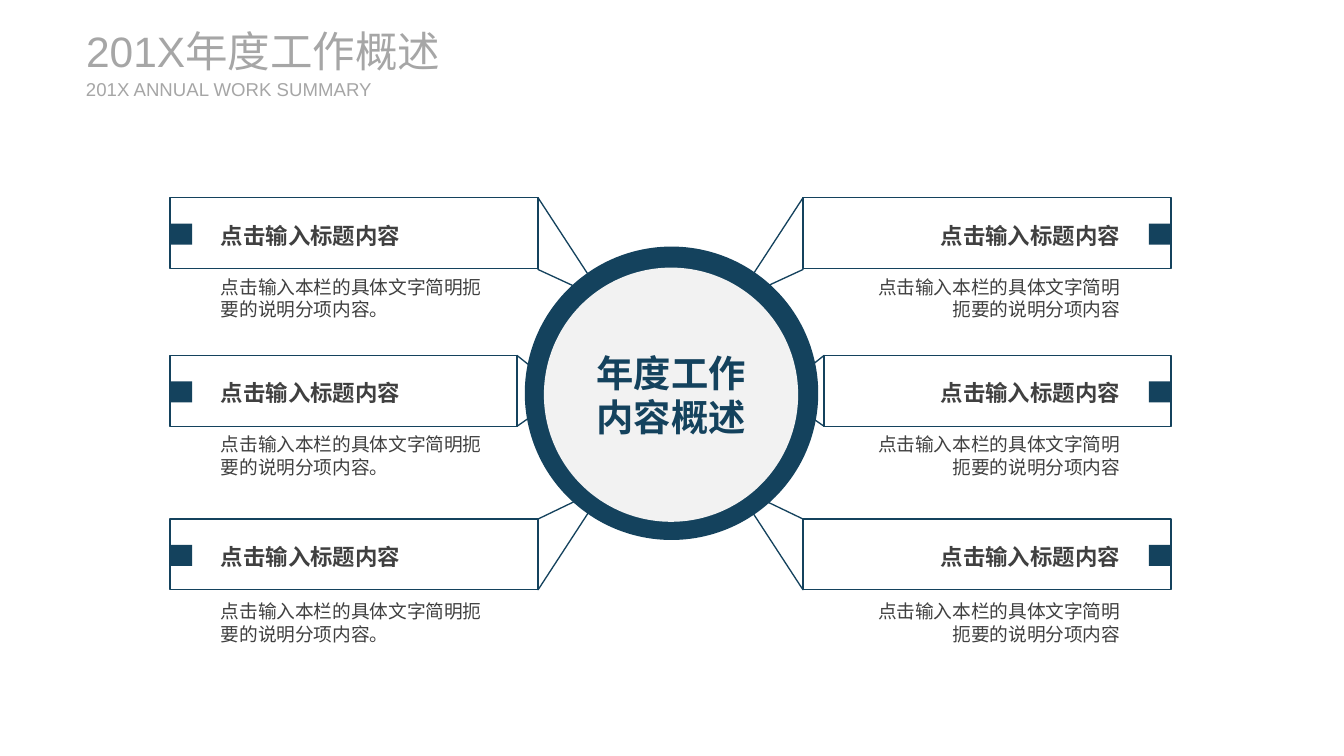
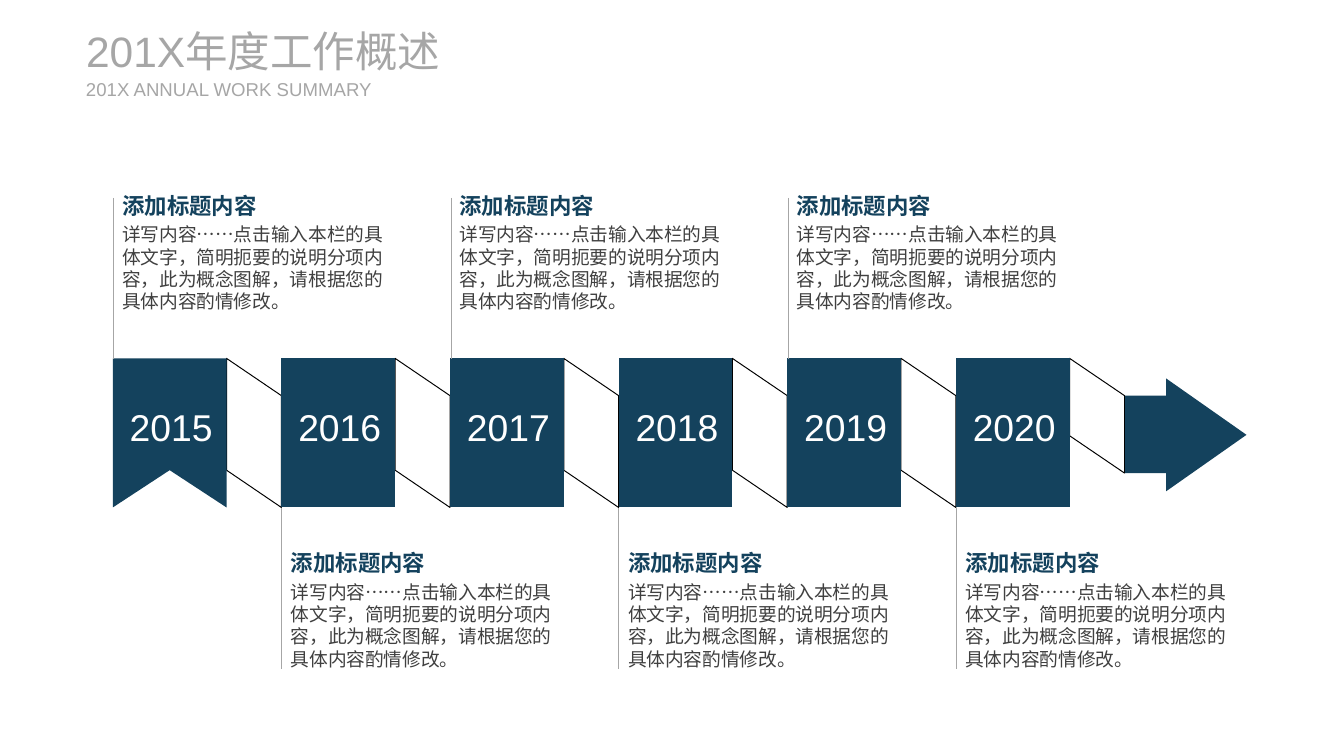
from lxml.etree import SubElement
from pptx import Presentation
from pptx.dml.color import RGBColor
from pptx.enum.shapes import MSO_CONNECTOR, MSO_SHAPE
from pptx.enum.text import MSO_ANCHOR, MSO_AUTO_SIZE, PP_ALIGN
from pptx.oxml.ns import qn
from pptx.util import Inches, Pt

NAVY, DARK, GREY, PALE, WHITE, BLACK = "14425D", "404040", "A6A6A6", "F2F2F2", "FFFFFF", "000000"
FORMATS = {
    "title": ({"size": Pt(32), "bold": False}, GREY),
    "subtitle": ({"size": Pt(14), "bold": False}, GREY),
    "label": ({"size": Pt(16.9), "bold": True}, DARK),
    "heading": ({"size": Pt(16.9), "bold": True}, NAVY),
    "body": ({"size": Pt(14.1), "bold": False}, DARK),
    "hub": ({"size": Pt(28.1), "bold": True}, NAVY),
    "year": ({"size": Pt(28.1), "bold": False}, WHITE),
}


def paint(sp, fill=None, line=None, width=1):
    sp.shadow.inherit = False
    if fill:
        sp.fill.solid()
        sp.fill.fore_color.rgb = RGBColor.from_string(fill)
    else:
        sp.fill.background()
    if line:
        sp.line.color.rgb = RGBColor.from_string(line)
        sp.line.width = Pt(width)
    else:
        sp.line.fill.background()


def write(sp, paragraphs, align=PP_ALIGN.LEFT, anchor=MSO_ANCHOR.TOP, side=0.1, edge=0.05):
    tf = sp.text_frame
    frame = {"word_wrap": True, "vertical_anchor": anchor,
             "margin_left": Inches(side), "margin_right": Inches(side),
             "margin_top": Inches(edge), "margin_bottom": Inches(edge)}
    for name, value in frame.items():
        setattr(tf, name, value)
    for i, (text, kind) in enumerate(paragraphs):
        p = tf.add_paragraph() if i else tf.paragraphs[0]
        p.alignment = align
        if i and kind == "body":
            p.space_before = Pt(3)
        r = p.add_run()
        r.text = text
        values, color = FORMATS[kind]
        r.font.name = "Arial"
        for name, value in values.items():
            setattr(r.font, name, value)
        r.font.color.rgb = RGBColor.from_string(color)


prs = Presentation()
prs.slide_width, prs.slide_height = Inches(14.06), Inches(7.91)
headers = [
    ("201X年度工作概述", "title", 0.26, 4.32, 0.54),
    ("201X ANNUAL WORK SUMMARY", "subtitle", 0.81, 3.07, 0.24),
]
slides = []
for _ in range(2):
    s = prs.slides.add_slide(prs.slide_layouts[6])
    for text, kind, top, width, height in headers:
        sp = s.shapes.add_textbox(Inches(0.9), Inches(top), Inches(width), Inches(height))
        write(sp, [(text, kind)], anchor=MSO_ANCHOR.MIDDLE, side=0, edge=0)
        sp.text_frame.auto_size = MSO_AUTO_SIZE.SHAPE_TO_FIT_TEXT
    slides.append(s)
overview, timeline = slides

s = overview
mirror = 14.03
panel_left, panel_height = 1.78, 0.74
rows = [
    (2.07, 3.02, [(5.63, 2.07), (6.23, 2.99), (6.15, 3.06), (5.63, 2.82)]),
    (3.72, 4.67, [(5.41, 3.72), (5.81, 4.04), (5.81, 4.18), (5.41, 4.46)]),
    (5.43, 6.42, [(5.63, 6.17), (6.23, 5.25), (6.15, 5.18), (5.63, 5.43)]),
]
detail = "点击输入本栏的具体文字简明扼要的说明分项内容"
sides = [
    (False, PP_ALIGN.LEFT, 2.75, detail + "。"),
    (True, PP_ALIGN.RIGHT, 2.59, detail),
]
for top, detail_top, wedge in rows:
    panel_width = wedge[0][0] - panel_left
    for flipped, align, detail_width, text in sides:
        points = [(Inches(mirror - x if flipped else x), Inches(y)) for x, y in wedge]
        builder = s.shapes.build_freeform(*points[0])
        builder.add_line_segments(points[1:], close=True)
        paint(builder.convert_to_shape(), WHITE, NAVY)
        boxes = [
            (panel_left, top, panel_width, panel_height, WHITE, NAVY, None),
            (panel_left, top + 0.27, 0.23, 0.22, NAVY, None, None),
            (2.31, top + 0.2, 3.01, 0.44, None, None, ("点击输入标题内容", "label")),
            (2.31, detail_top, detail_width, 0.19, None, None, (text, "body")),
        ]
        for x, y, width, height, fill, line, content in boxes:
            left = mirror - x - width if flipped else x
            box = Inches(left), Inches(y), Inches(width), Inches(height)
            if content:
                anchor = MSO_ANCHOR.MIDDLE if content[1] == "body" else MSO_ANCHOR.TOP
                write(s.shapes.add_textbox(*box), [content], align, anchor, side=0)
            else:
                paint(s.shapes.add_shape(MSO_SHAPE.RECTANGLE, *box), fill, line)

for left, top, size, fill in [(5.49, 2.58, 3.07, NAVY), (5.69, 2.8, 2.66, PALE)]:
    sp = s.shapes.add_shape(MSO_SHAPE.OVAL, Inches(left), Inches(top), Inches(size), Inches(size))
    paint(sp, fill)
write(sp, [("年度工作", "hub"), ("内容概述", "hub")], PP_ALIGN.CENTER, MSO_ANCHOR.MIDDLE)

s = timeline
years = ["2015", "2016", "2017", "2018", "2019", "2020"]
first, last, top, bottom, width, drop = 1.18, 10, 3.75, 5.31, 1.19, 0.39
step = (last - first) / (len(years) - 1)
lefts = [first + i * step for i in range(len(years))]
outlines = []
for x in lefts:
    low = 4.95 if x == lefts[-1] else bottom
    band = [(x + width, top), (x + step, top + drop), (x + step, low), (x + width, low - drop)]
    outlines.append((band, None, BLACK))
    flag = [(x, top), (x + width, top), (x + width, bottom), (x, bottom)]
    if x == first:
        flag.insert(3, (x + width / 2, bottom - drop))
    outlines.append((flag, NAVY, None))
arrow = [(11.77, 4.14), (12.2, 4.14), (12.2, 3.96), (13.04, 4.55),
         (12.2, 5.14), (12.2, 4.95), (11.77, 4.95)]
outlines.append((arrow, NAVY, None))
for outline, fill, line in outlines:
    points = [(Inches(x), Inches(y)) for x, y in outline]
    builder = s.shapes.build_freeform(*points[0])
    builder.add_line_segments(points[1:], close=True)
    paint(builder.convert_to_shape(), fill, line, 0.75)

note = [
    ("添加标题内容", "heading"),
    ("详写内容……点击输入本栏的具体文字，简明扼要的说明分项内容，此为概念图解，请根据您的具体内容酌情修改。", "body"),
]
for i, (x, year) in enumerate(zip(lefts, years)):
    sp = s.shapes.add_textbox(Inches(x - 0.13), Inches(3.94), Inches(1.48), Inches(1.04))
    write(sp, [(year, "year")], PP_ALIGN.CENTER, MSO_ANCHOR.MIDDLE)
    note_top, line_top = (5.7, bottom) if i % 2 else (1.96, 2.07)
    sp = s.shapes.add_textbox(Inches(x), Inches(note_top), Inches(2.95), Inches(1.44))
    write(sp, note)
    line_x = Inches(x if i % 2 else x + 0.01)
    rule = s.shapes.add_connector(MSO_CONNECTOR.STRAIGHT, line_x, Inches(line_top),
                                  line_x, Inches(line_top + 1.69))
    rule.line.color.rgb = RGBColor.from_string(GREY)
    rule.line.width = Pt(0.5)
    SubElement(rule._element.spPr, qn("a:effectLst"))

prs.save("out.pptx")
